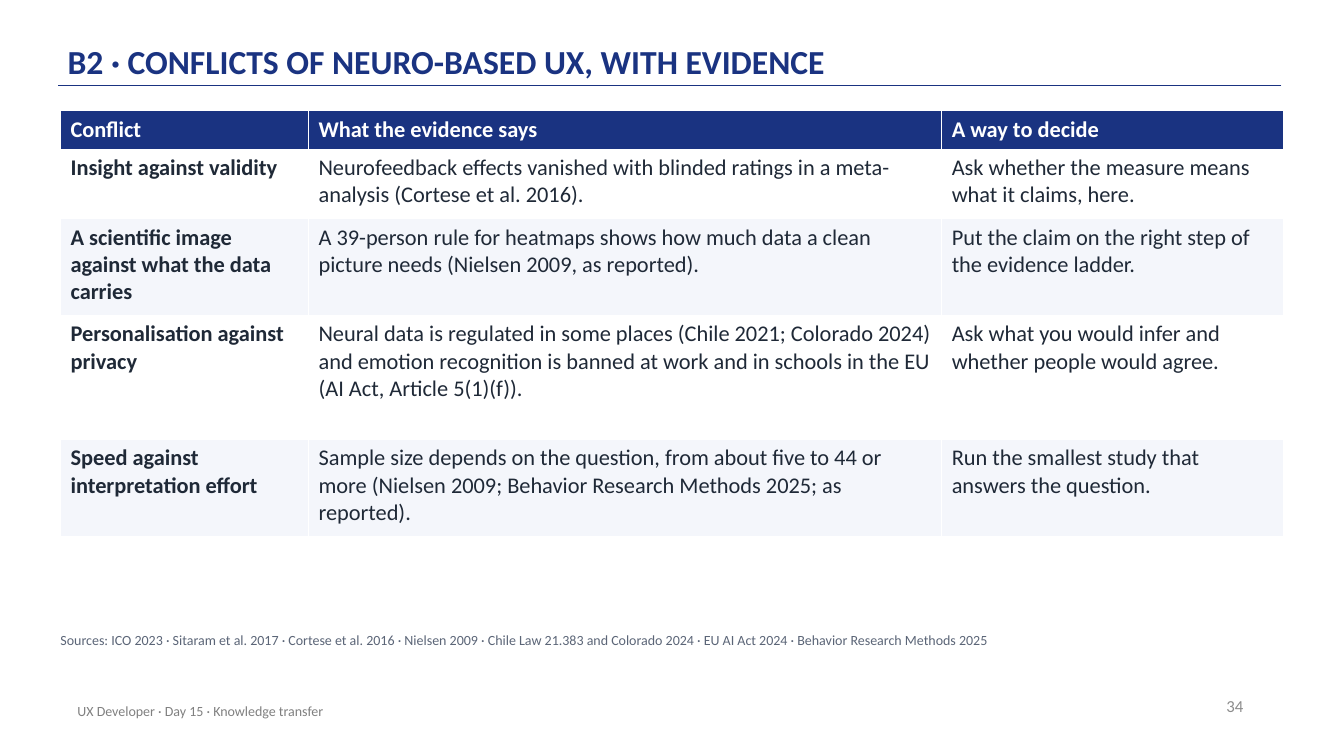
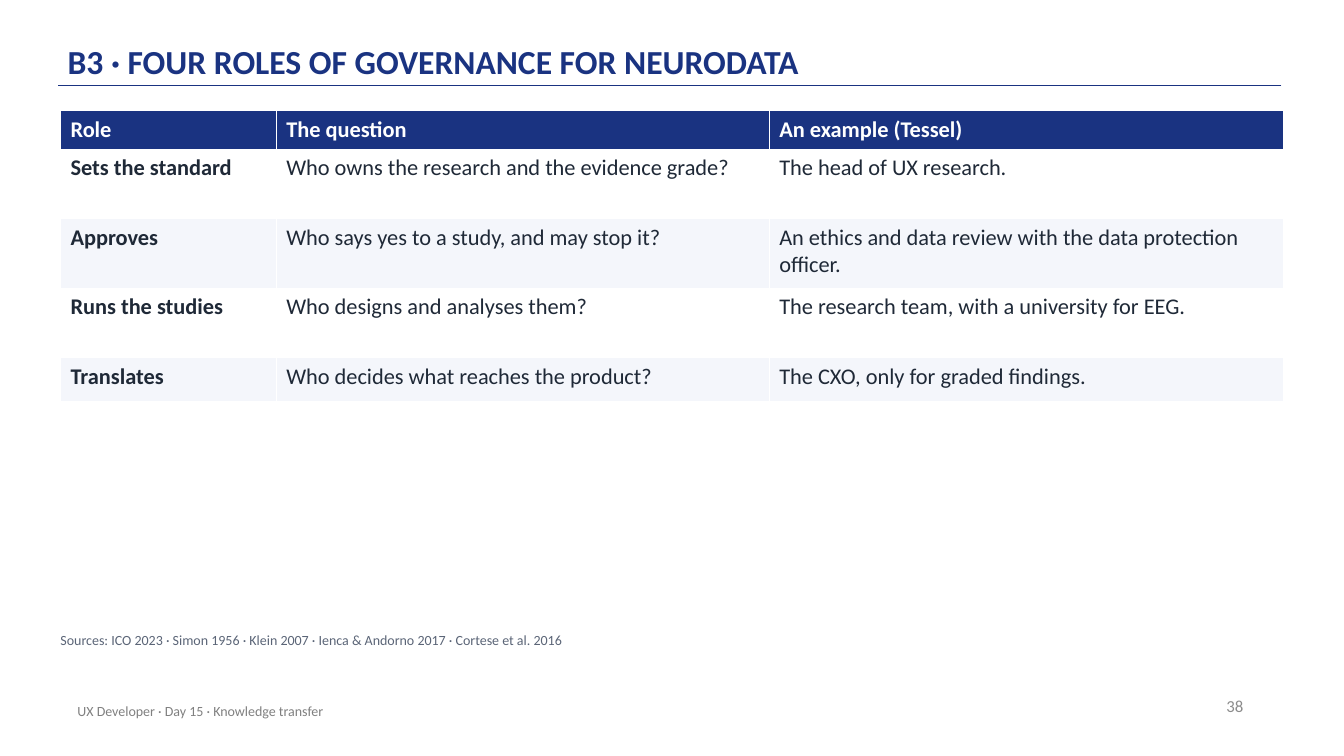
from dataclasses import dataclass

from lxml.etree import SubElement
from pptx import Presentation
from pptx.dml.color import RGBColor
from pptx.enum.shapes import MSO_CONNECTOR
from pptx.enum.text import MSO_ANCHOR, MSO_AUTO_SIZE, PP_ALIGN
from pptx.oxml.ns import qn
from pptx.presentation import Presentation as Deck
from pptx.slide import Slide
from pptx.text.text import TextFrame
from pptx.util import Inches, Pt

NAVY = RGBColor(0x1A, 0x33, 0x81)
INK = RGBColor(0x1F, 0x29, 0x37)
SLATE = RGBColor(0x5B, 0x65, 0x77)
NUMBER_GREY = RGBColor(0x8C, 0x8C, 0x8C)
FOOTER_GREY = RGBColor(0x80, 0x80, 0x80)
WHITE = RGBColor(0xFF, 0xFF, 0xFF)
PALE = RGBColor(0xF4, 0xF6, 0xFB)
FONT = "Calibri"
FOOTER = "UX Developer · Day 15 · Knowledge transfer"

Box = tuple[float, float, float, float]


@dataclass(frozen=True)
class TableSlide:
    """Content of one slide: a title, a table and its sources."""

    title: str
    number: int
    widths: tuple[float, ...]
    heights: tuple[float, ...]
    rows: tuple[tuple[str, ...], ...]
    sources: str


SLIDES = (
    TableSlide(
        "B2 · CONFLICTS OF NEURO-BASED UX, WITH EVIDENCE",
        34,
        (2.46, 6.28, 3.39),
        (0.38, 0.69, 0.96, 1.23, 0.96),
        (
            ("Conflict", "What the evidence says", "A way to decide"),
            (
                "Insight against validity",
                "Neurofeedback effects vanished with blinded ratings in a "
                "meta-analysis (Cortese et al. 2016).",
                "Ask whether the measure means what it claims, here.",
            ),
            (
                "A scientific image against what the data carries",
                "A 39-person rule for heatmaps shows how much data a clean "
                "picture needs (Nielsen 2009, as reported).",
                "Put the claim on the right step of the evidence ladder.",
            ),
            (
                "Personalisation against privacy",
                "Neural data is regulated in some places (Chile 2021; Colorado "
                "2024) and emotion recognition is banned at work and in schools "
                "in the EU (AI Act, Article 5(1)(f)).",
                "Ask what you would infer and whether people would agree.",
            ),
            (
                "Speed against interpretation effort",
                "Sample size depends on the question, from about five to 44 or "
                "more (Nielsen 2009; Behavior Research Methods 2025; as reported).",
                "Run the smallest study that answers the question.",
            ),
        ),
        "Sources: ICO 2023 · Sitaram et al. 2017 · Cortese et al. 2016 · "
        "Nielsen 2009 · Chile Law 21.383 and Colorado 2024 · EU AI Act 2024 · "
        "Behavior Research Methods 2025",
    ),
    TableSlide(
        "B3 · FOUR ROLES OF GOVERNANCE FOR NEURODATA",
        38,
        (2.14, 4.89, 5.1),
        (0.38, 0.69, 0.69, 0.69, 0.43),
        (
            ("Role", "The question", "An example (Tessel)"),
            (
                "Sets the standard",
                "Who owns the research and the evidence grade?",
                "The head of UX research.",
            ),
            (
                "Approves",
                "Who says yes to a study, and may stop it?",
                "An ethics and data review with the data protection officer.",
            ),
            (
                "Runs the studies",
                "Who designs and analyses them?",
                "The research team, with a university for EEG.",
            ),
            (
                "Translates",
                "Who decides what reaches the product?",
                "The CXO, only for graded findings.",
            ),
        ),
        "Sources: ICO 2023 · Simon 1956 · Klein 2007 · Ienca & Andorno 2017 · "
        "Cortese et al. 2016",
    ),
)


def write(
    tf: TextFrame, text: str, size: int, color: RGBColor, bold: bool = False
) -> None:
    """Fill a text frame with one formatted paragraph."""
    p = tf.paragraphs[0]
    p.text = text
    p.font.name = FONT
    p.font.size = Pt(size)
    p.font.bold = bold
    p.font.color.rgb = color


def add_label(s: Slide, box: Box, text: str, size: int, color: RGBColor) -> TextFrame:
    """Add a wrapped, vertically centred text box."""
    tf = s.shapes.add_textbox(*map(Inches, box)).text_frame
    tf.word_wrap = True
    tf.vertical_anchor = MSO_ANCHOR.MIDDLE
    write(tf, text, size, color)
    return tf


def add_title(s: Slide, text: str) -> None:
    """Place the title and the rule beneath it."""
    title = s.shapes.title
    title.left, title.top, title.width, title.height = map(
        Inches, (0.67, 0.12, 11, 0.72)
    )
    tf = title.text_frame
    tf.auto_size = MSO_AUTO_SIZE.NONE
    tf.word_wrap = True
    tf.vertical_anchor = MSO_ANCHOR.BOTTOM
    tf.margin_left = tf.margin_right = 0
    tf.margin_top = tf.margin_bottom = Inches(0.03)
    write(tf, text, 24, NAVY, True)
    tf.paragraphs[0].alignment = PP_ALIGN.LEFT
    tf.paragraphs[0].line_spacing = 0.9

    rule = s.shapes.add_connector(
        MSO_CONNECTOR.STRAIGHT, *map(Inches, (12.71, 0.85, 0.58, 0.85))
    )
    rule.line.color.rgb = NAVY
    rule.line.width = Pt(1)
    SubElement(rule.element.spPr, qn("a:effectLst"))


def add_footer(s: Slide, number: int) -> None:
    """Add the slide number and the running footer."""
    tf = add_label(s, (9.43, 6.8, 3, 0.4), str(number), 12, NUMBER_GREY)
    tf.paragraphs[0].alignment = PP_ALIGN.RIGHT
    add_label(s, (0.67, 6.85, 6.7, 0.4), FOOTER, 10, FOOTER_GREY)


def add_evidence_table(s: Slide, content: TableSlide) -> None:
    """Add the table with a navy header and banded rows."""
    table = s.shapes.add_table(
        len(content.rows),
        len(content.widths),
        Inches(0.6),
        Inches(1.1),
        Inches(sum(content.widths)),
        Inches(sum(content.heights)),
    ).table
    for column, width in zip(table.columns, content.widths):
        column.width = Inches(width)
    for i, (row, height) in enumerate(zip(table.rows, content.heights)):
        row.height = Inches(height)
        header = i == 0
        fill = NAVY if header else WHITE if i % 2 else PALE
        for j, cell in enumerate(row.cells):
            cell.fill.solid()
            cell.fill.fore_color.rgb = fill
            color = WHITE if header else INK
            write(cell.text_frame, content.rows[i][j], 16, color, header or j == 0)


def add_sources(s: Slide, text: str) -> None:
    """Add the line of sources below the table."""
    tf = add_label(s, (0.6, 6.27, 12.1, 0.3), text, 10, SLATE)
    tf.vertical_anchor = MSO_ANCHOR.TOP
    tf.auto_size = MSO_AUTO_SIZE.SHAPE_TO_FIT_TEXT
    tf.margin_left = tf.margin_right = tf.margin_top = tf.margin_bottom = 0
    tf.paragraphs[0].space_after = Pt(6)


def add_table_slide(prs: Deck, content: TableSlide) -> None:
    """Build one complete slide."""
    s = prs.slides.add_slide(prs.slide_layouts.get_by_name("Title Only"))
    add_title(s, content.title)
    add_footer(s, content.number)
    add_evidence_table(s, content)
    add_sources(s, content.sources)


def main() -> None:
    """Build and save the presentation."""
    prs = Presentation()
    prs.slide_width, prs.slide_height = Inches(13.33), Inches(7.5)
    for content in SLIDES:
        add_table_slide(prs, content)
    prs.save("out.pptx")


if __name__ == "__main__":
    main()
